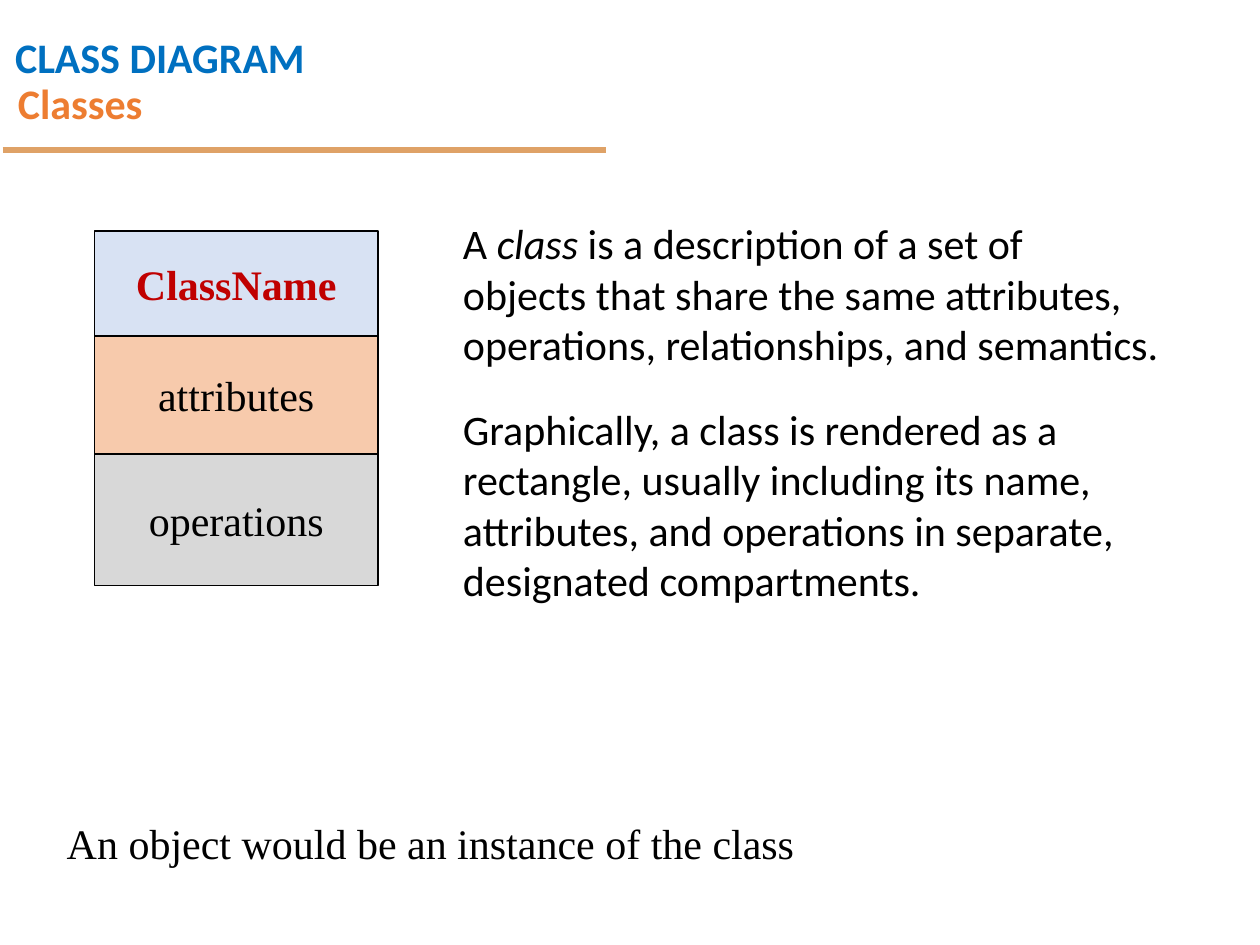
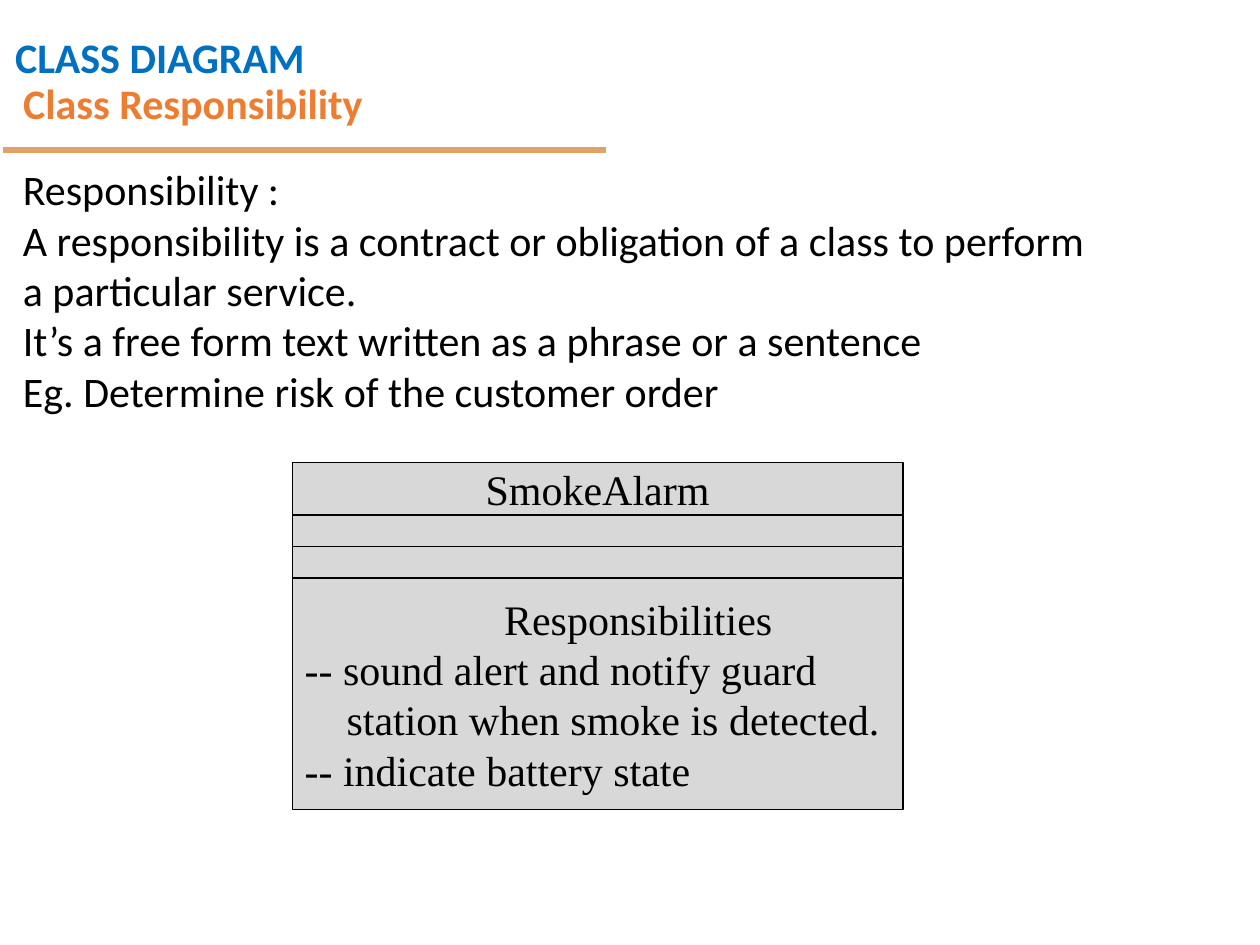
"""Build two slides on UML classes and class responsibility."""
from lxml import etree
from pptx import Presentation
from pptx.dml.color import RGBColor
from pptx.enum.shapes import MSO_CONNECTOR, MSO_SHAPE
from pptx.enum.text import MSO_ANCHOR, PP_ALIGN
from pptx.oxml.ns import qn
from pptx.util import Pt

LEFT, CENTER, JUSTIFY = PP_ALIGN.LEFT, PP_ALIGN.CENTER, PP_ALIGN.JUSTIFY
TOP, MIDDLE = MSO_ANCHOR.TOP, MSO_ANCHOR.MIDDLE
RECTANGLE, STRAIGHT = MSO_SHAPE.RECTANGLE, MSO_CONNECTOR.STRAIGHT
SANS, SERIF = "Calibri", "Times New Roman"
BLACK, BLUE, ORANGE, RED = "000000", "0070C0", "ED7D31", "C00000"
SAND, PALE_BLUE, PEACH, GRAY = "DFA267", "D8E2F3", "F7CAAC", "D8D8D8"
TITLE_ONLY = 5


def rgb(code):
    return RGBColor.from_string(code)


class Deck:
    def __init__(self):
        self.prs = Presentation()
        self.prs.slide_width, self.prs.slide_height = Pt(720), Pt(540)
        self.slide = None

    def start_slide(self, title, title_left):
        self.slide = self.prs.slides.add_slide(self.prs.slide_layouts[TITLE_ONLY])
        self.text(1.5, 0, 533, 51, ["CLASS DIAGRAM"], color=BLUE, bold=True, spacing=1.5)
        self.rule(1.5, 85.75, 345)
        heading = self.slide.shapes.title
        heading.left, heading.top = Pt(title_left), Pt(39.5)
        heading.width, heading.height = Pt(618), Pt(42)
        self.set_lines(heading.text_frame, [title], color=ORANGE, bold=True,
                       anchor=MIDDLE, spacing=0.9)

    def set_lines(self, frame, lines, font=SANS, color=BLACK, bold=False,
                  align=LEFT, anchor=TOP, spacing=1.0):
        frame.word_wrap = True
        frame.vertical_anchor = anchor
        frame.text = "\n".join(line.replace("*", "") for line in lines)
        for paragraph, line in zip(frame.paragraphs, lines):
            paragraph.alignment = align
            paragraph.line_spacing = spacing
            if "*" in line:
                paragraph.clear()
                for index, part in enumerate(line.split("*")):
                    run = paragraph.add_run()
                    run.text = part
                    run.font.italic = index % 2 == 1
            for run in paragraph.runs:
                run.font.name, run.font.size = font, Pt(24)
                run.font.bold = bold
                run.font.color.rgb = rgb(color)

    def text(self, left, top, width, height, lines, **style):
        box = self.slide.shapes.add_textbox(Pt(left), Pt(top), Pt(width), Pt(height))
        self.set_lines(box.text_frame, lines, **style)
        return box.text_frame.paragraphs

    def rule(self, left, top, width):
        line = self.slide.shapes.add_connector(
            STRAIGHT, Pt(left), Pt(top), Pt(left + width), Pt(top))
        line.line.color.rgb, line.line.width = rgb(SAND), Pt(3)
        etree.SubElement(line._element.spPr, qn("a:effectLst"))

    def class_box(self, left, top, width, compartments):
        frames = []
        for height, fill, lines, style in compartments:
            box = self.slide.shapes.add_shape(
                RECTANGLE, Pt(left), Pt(top), Pt(width), Pt(height))
            box.shadow.inherit = False
            box.fill.solid()
            box.fill.fore_color.rgb = rgb(fill)
            box.line.color.rgb, box.line.width = rgb(BLACK), Pt(0.75)
            if lines:
                self.set_lines(box.text_frame, lines, font=SERIF, anchor=MIDDLE,
                               **{"align": CENTER, **style})
            frames.append(box.text_frame)
            top += height
        return frames

    def indent(self, paragraph, margin, first=0):
        properties = paragraph._p.get_or_add_pPr()
        properties.set("marL", str(Pt(margin)))
        properties.set("indent", str(Pt(first)))


def add_classes(deck):
    deck.start_slide("Classes", 3)
    deck.class_box(54, 132, 162, [
        (60, PALE_BLUE, ["ClassName"], {"color": RED, "bold": True}),
        (67.5, PEACH, ["attributes"], {}),
        (75, GRAY, ["operations"], {}),
    ])
    definition = [
        "A *class* is a description of a set of",
        "objects that share the same attributes,",
        "operations, relationships, and semantics.",
    ]
    rendering = [
        "Graphically, a class is rendered as a",
        "rectangle, usually including its name,",
        "attributes, and operations in separate,",
        "designated compartments.",
    ]
    description = deck.text(257.5, 121, 437, 250, definition + rendering, align=JUSTIFY)
    description[len(definition)].space_before = Pt(19.5)
    deck.text(31, 463.5, 434, 36, ["An object would be an instance of the class"], font=SERIF)


def add_responsibility(deck):
    deck.start_slide("Class Responsibility", 6)
    deck.text(6, 90, 630, 181, [
        "Responsibility :",
        "A responsibility is a contract or obligation of a class to perform "
        "a particular service.",
        "It’s a free form text written as a phrase or a sentence",
        "Eg. Determine risk of the customer order",
    ])
    duties = [
        "Responsibilities",
        "-- sound alert and notify guard station when smoke is detected.",
        "-- indicate battery state",
    ]
    smoke_alarm = deck.class_box(167, 264.25, 349, [
        (30, GRAY, ["SmokeAlarm"], {}),
        (18, GRAY, [], {}),
        (18, GRAY, [], {}),
        (132.5, GRAY, duties, {"align": LEFT}),
    ])
    heading, *items = smoke_alarm[-1].paragraphs
    deck.indent(heading, 114)
    for item in items:
        deck.indent(item, 24, -24)


def main():
    deck = Deck()
    add_classes(deck)
    add_responsibility(deck)
    deck.prs.save("out.pptx")


if __name__ == "__main__":
    main()
